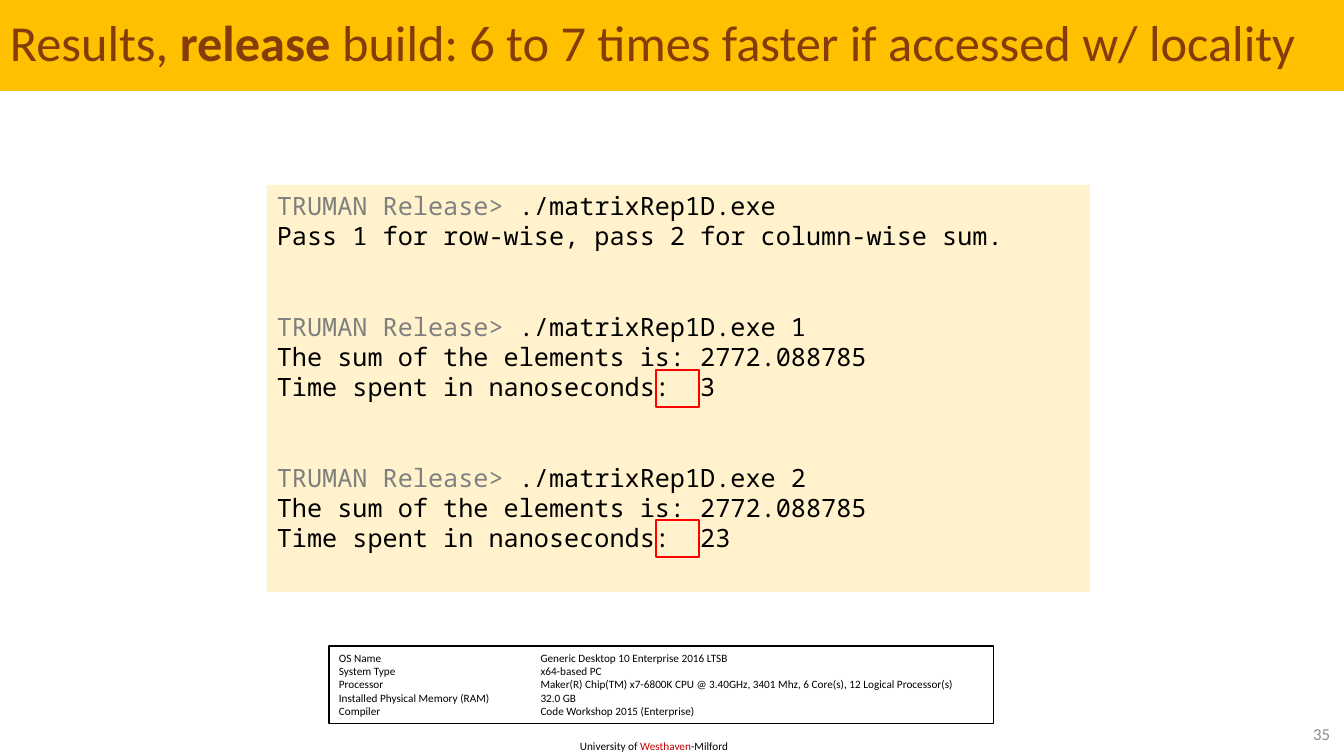
from lxml import etree
from pptx import Presentation, util as u
from pptx.dml.color import RGBColor
from pptx.enum import shapes, text
from pptx.oxml.ns import qn

EMU_PER_PX = 914400 / 100.8


def px(length):
    return u.Emu(round(length * EMU_PER_PX))


def colour(hex_value):
    return RGBColor.from_string(hex_value)


class SlideBuilder:
    def __init__(self, slide):
        self.slide = slide
        self.ink = "000000"
        self.sans = "Calibri"
        self.mono = "Noto Sans Mono"

    def rect(self, left, top, width, height, fill=None, line=None, weight=1):
        box = self.slide.shapes.add_shape(
            shapes.MSO_SHAPE.RECTANGLE, *map(px, (left, top, width, height)))
        box.shadow.inherit = False
        if fill:
            box.fill.solid()
            box.fill.fore_color.rgb = colour(fill)
        else:
            box.fill.background()
        if line:
            box.line.color.rgb = colour(line)
            box.line.width = u.Pt(weight)
        else:
            box.line.fill.background()
        return box

    def label(self, left, top, width, height):
        return self.slide.shapes.add_textbox(*map(px, (left, top, width, height)))

    def set_text(self, box, paragraphs, size, font=None, anchor="TOP", **layout):
        """Fill box with paragraphs, each a list of (text, colour, bold) runs."""
        frame = box.text_frame
        frame.word_wrap = True
        frame.vertical_anchor = text.MSO_ANCHOR[anchor]
        layout = {"alignment": text.PP_ALIGN.LEFT, **layout}
        for index, runs in enumerate(paragraphs):
            paragraph = frame.add_paragraph() if index else frame.paragraphs[0]
            for name, value in layout.items():
                setattr(paragraph, name, value)
            for words, hue, bold in runs:
                run = paragraph.add_run()
                run.text = words
                run.font.color.rgb = colour(hue or self.ink)
                style = {"name": font or self.sans, "size": u.Pt(size), "bold": bold}
                for name, value in style.items():
                    setattr(run.font, name, value)
        return frame.paragraphs

    def tab_stop(self, paragraph, position):
        stops = etree.SubElement(paragraph._p.get_or_add_pPr(), qn("a:tabLst"))
        etree.SubElement(stops, qn("a:tab"), pos=str(u.Inches(position)), algn="l")


def main():
    deck = Presentation()
    deck.slide_width, deck.slide_height = px(1344), px(756)
    page = SlideBuilder(deck.slides.add_slide(deck.slide_layouts[6]))

    affiliation = [("University of ", None, False), ("Westhaven", "C00000", False),
                   ("-Milford", None, False)]
    page.set_text(page.label(570, 734, 173, 24), [affiliation], 8)

    brown = "843C0B"
    title = [("Results, ", brown, False), ("release", brown, True),
             (" build: 6 to 7 times faster if accessed w/ locality", brown, False)]
    page.set_text(page.rect(0, 0, 1344, 91, fill="FFC000"), [title], 36,
                  anchor="MIDDLE", line_spacing=0.9)
    page.set_text(page.label(1263, 719, 77, 29), [[("35", "8C8C8C", False)]], 12,
                  anchor="MIDDLE", alignment=text.PP_ALIGN.RIGHT)

    sessions = [
        ("", ["Pass 1 for row-wise, pass 2 for column-wise sum."]),
        (" 1", ["The sum of the elements is: 2772.088785", "Time spent in nanoseconds:  3"]),
        (" 2", ["The sum of the elements is: 2772.088785", "Time spent in nanoseconds:  23"]),
    ]
    console_lines, command_rows = [], []
    for argument, output in sessions:
        command_rows.append(len(console_lines))
        console_lines.append([("TRUMAN Release>", "808080", False),
                              (f" ./matrixRep1D.exe{argument}", None, False)])
        console_lines += [[(line, None, False)] for line in output]
    line_height = u.Pt(21.6)
    console = page.set_text(page.rect(267, 185, 823, 407, fill="FFF2CC"), console_lines,
                            18, page.mono, line_spacing=line_height)
    for row in command_rows[1:]:
        console[row].space_before = u.Pt(43.2)

    machine = {
        "OS Name": "Generic Desktop 10 Enterprise 2016 LTSB",
        "System Type": "x64-based PC",
        "Processor": "Maker(R) Chip(TM) x7-6800K CPU @ 3.40GHz, 3401 Mhz, "
                     "6 Core(s), 12 Logical Processor(s)",
        "Installed Physical Memory (RAM)": "32.0 GB",
        "Compiler": "Code Workshop 2015 (Enterprise)",
    }
    machine_rows = [[(f"{item}\t{value}", None, False)] for item, value in machine.items()]
    machine_box = page.rect(329, 646, 665, 78, line=page.ink, weight=0.75)
    for paragraph in page.set_text(machine_box, machine_rows, 8):
        page.tab_stop(paragraph, 2)

    for timing_top in (370, 520):
        page.rect(656, timing_top, 43, 37, line="FE0000")

    deck.save("out.pptx")


if __name__ == "__main__":
    main()
